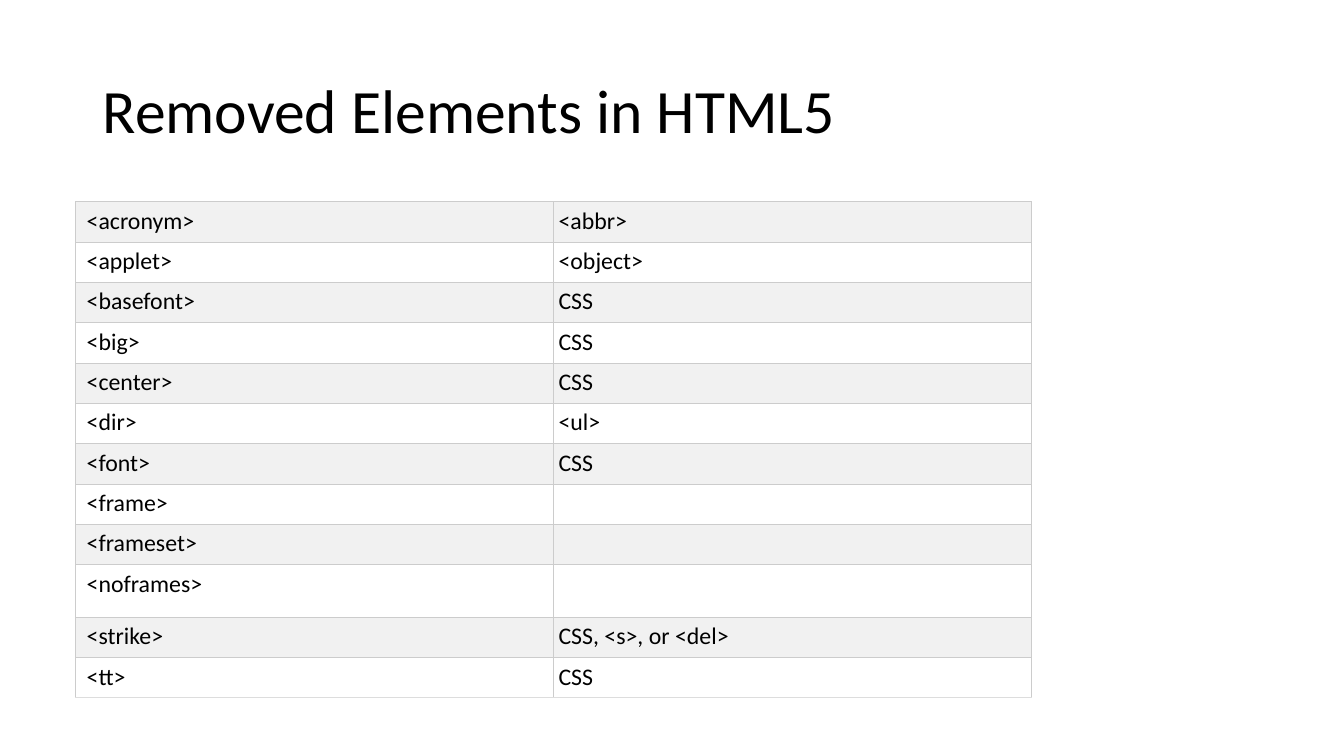
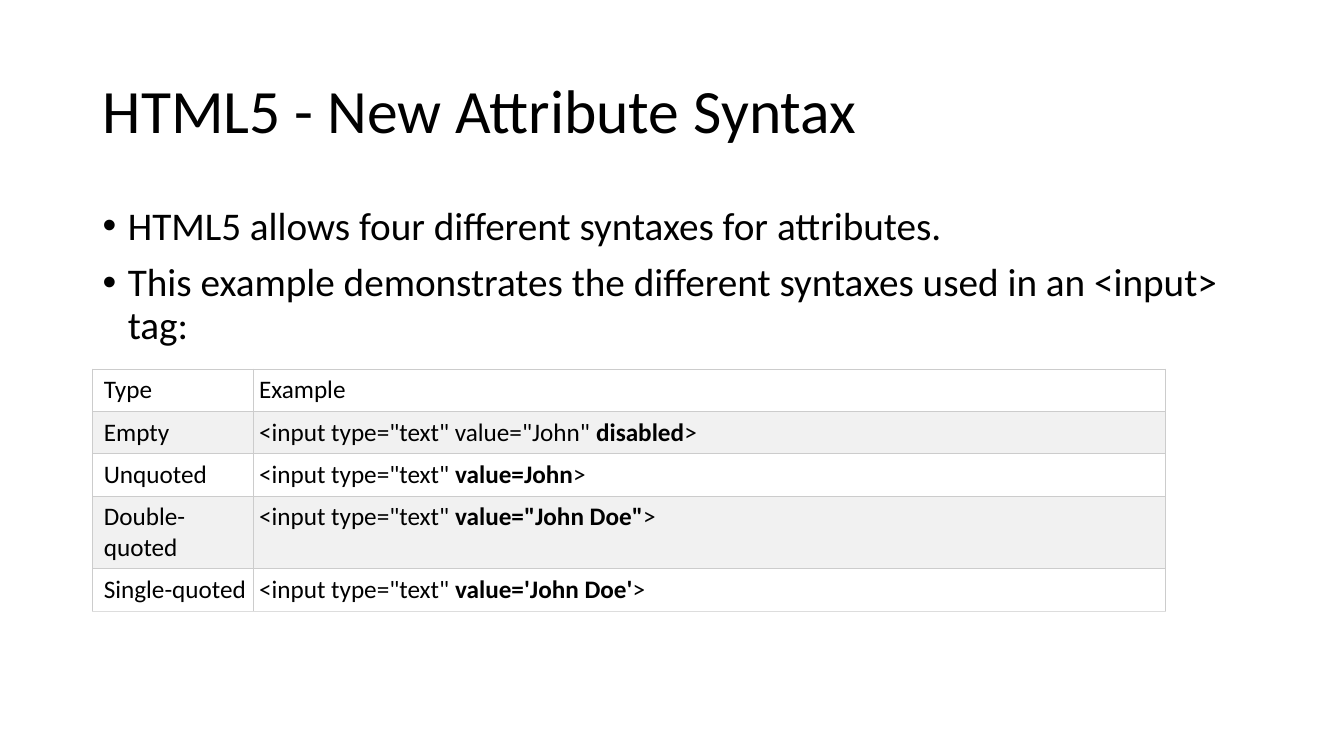
from itertools import cycle
from lxml import etree
from pptx import Presentation
from pptx.dml import color
from pptx.enum import text
from pptx.oxml import ns
from pptx.util import Inches, Pt

FONT = "Calibri"
INK, WHITE, GREY = "000000", "FFFFFF", "F1F1F1"
RULE, BASE = "CCCCCC", "DDDDDD"
INPUT = '<input type="text"\u00a0'

REMOVED = [
    ("<acronym>", "<abbr>"),
    ("<applet>", "<object>"),
    ("<basefont>", "CSS"),
    ("<big>", "CSS"),
    ("<center>", "CSS"),
    ("<dir>", "<ul>"),
    ("<font>", "CSS"),
    ("<frame>", ""),
    ("<frameset>", ""),
    ("<noframes>", ""),
    ("<strike>", "CSS, <s>, or <del>"),
    ("<tt>", "CSS"),
]

SYNTAX = [
    ("Type", "Example"),
    ("Empty", ('<input type="text" value="John"\u00a0', "disabled", ">")),
    ("Unquoted", (INPUT, "value=John", ">")),
    ("Double-quoted", (INPUT, 'value="John Doe"', ">")),
    ("Single-quoted", (INPUT, "value='John Doe'", ">")),
]


def rgb(code):
    return color.RGBColor.from_string(code)


def add_run(para, words, size, bold=False):
    run = para.add_run()
    run.text = words
    run.font.name = FONT
    run.font.size = Pt(size)
    run.font.bold = bold
    run.font.color.rgb = rgb(INK)


def add_box(slide, top, height, anchor):
    box = slide.shapes.add_textbox(
        Inches(0.92), Inches(top), Inches(11.5), Inches(height))
    frame = box.text_frame
    frame.word_wrap = True
    frame.vertical_anchor = anchor
    return frame


def add_title(slide, words):
    frame = add_box(slide, 0.4, 1.45, text.MSO_ANCHOR.MIDDLE)
    para = frame.paragraphs[0]
    para.line_spacing = 0.9
    add_run(para, words, 44)


def add_bullets(slide, items):
    frame = add_box(slide, 2, 4.76, text.MSO_ANCHOR.TOP)
    for index, item in enumerate(items):
        para = frame.add_paragraph() if index else frame.paragraphs[0]
        para.line_spacing = 0.9
        para.space_before = Pt(10)
        props = para._p.get_or_add_pPr()
        props.set("marL", str(Inches(0.25)))
        props.set("indent", str(-Inches(0.25)))
        etree.SubElement(props, ns.qn("a:buFont"), typeface="Arial")
        etree.SubElement(props, ns.qn("a:buChar"), char="\u2022")
        add_run(para, item, 28)


def add_edges(cell, last):
    props = cell._tc.get_or_add_tcPr()
    for side in "LRTB":
        line = etree.SubElement(props, ns.qn("a:ln" + side), w=str(Pt(0.5)))
        fill = etree.SubElement(line, ns.qn("a:solidFill"))
        shade = BASE if last and side == "B" else RULE
        etree.SubElement(fill, ns.qn("a:srgbClr"), val=shade)


def fill_cell(cell, words, size, left, pad, shade, last):
    cell.margin_left = Inches(left)
    cell.margin_right = Inches(0.05)
    cell.margin_top = cell.margin_bottom = Inches(pad)
    add_edges(cell, last)
    cell.fill.solid()
    cell.fill.fore_color.rgb = rgb(shade)
    parts = (words,) if isinstance(words, str) else words
    for index, part in enumerate(parts):
        if part:
            add_run(cell.text_frame.paragraphs[0], part, size, index == 1)


def add_grid(slide, data, left, top, widths, heights, size, pad, shades):
    table = slide.shapes.add_table(
        len(data), len(widths), Inches(left), Inches(top),
        Inches(sum(widths)), Inches(sum(heights))).table
    table.first_row = table.horz_banding = False
    for column, width in zip(table.columns, widths):
        column.width = Inches(width)
    rows = zip(table.rows, data, heights, cycle(shades))
    for index, (row, entry, height, shade) in enumerate(rows):
        row.height = Inches(height)
        last = index == len(data) - 1
        for cell, words, inset in zip(row.cells, entry, (0.11, pad)):
            fill_cell(cell, words, size, inset, pad, shade, last)


def add_slide(deck, title):
    slide = deck.slides.add_slide(deck.slide_layouts[6])
    add_title(slide, title)
    return slide


def main():
    deck = Presentation()
    deck.slide_width, deck.slide_height = Inches(13.33), Inches(7.5)

    slide = add_slide(deck, "Removed Elements in HTML5")
    heights = [0.52 if tag == "<noframes>" else 0.4 for tag, _ in REMOVED]
    add_grid(slide, REMOVED, 0.75, 2, (4.74, 4.74), heights, 17, 0.05,
             (GREY, WHITE))

    slide = add_slide(deck, "HTML5 - New Attribute Syntax")
    add_bullets(slide, [
        "HTML5 allows four different syntaxes for attributes.",
        "This example demonstrates the different syntaxes used in an "
        "<input> tag:",
    ])
    heights = [0.72 if kind == "Double-quoted" else 0.42
               for kind, _ in SYNTAX]
    add_grid(slide, SYNTAX, 0.92, 3.66, (1.59, 9.05), heights, 18, 0.06,
             (WHITE, GREY))

    deck.save("out.pptx")


main()
